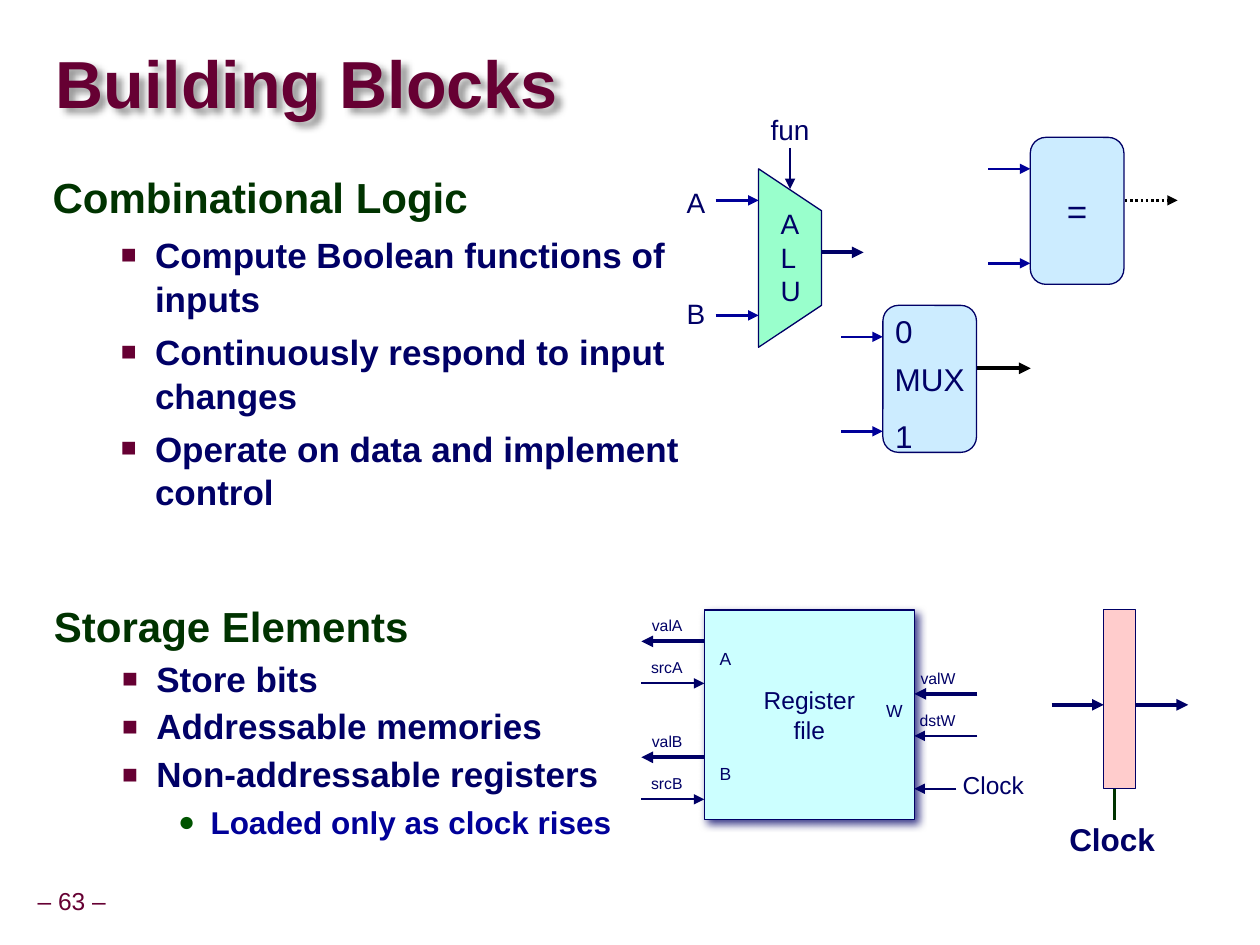
from typing import NamedTuple

from lxml.etree import SubElement
from pptx import Presentation
from pptx.dml.color import RGBColor
from pptx.enum.dml import MSO_LINE
from pptx.enum.shapes import MSO_CONNECTOR, MSO_SHAPE
from pptx.enum.text import MSO_ANCHOR, PP_ALIGN
from pptx.oxml.ns import qn
from pptx.util import Pt

NAVY, BLUE, BLACK = "000066", "000099", "000000"
MAROON, GREEN, BULLET_GREEN = "660033", "003300", "005400"
LEFT, CENTER, RIGHT = PP_ALIGN.LEFT, PP_ALIGN.CENTER, PP_ALIGN.RIGHT
TOP, MIDDLE = MSO_ANCHOR.TOP, MSO_ANCHOR.MIDDLE


class Box(NamedTuple):
    left: float
    top: float
    width: float
    height: float


class Wire(NamedTuple):
    x1: float
    y1: float
    x2: float
    y2: float
    color: str = NAVY
    width: float = 2.25
    arrow: bool = True
    dotted: bool = False


class Block(NamedTuple):
    box: Box
    fill: str
    text: str = ""
    size: float = 14
    preset: MSO_SHAPE = MSO_SHAPE.ROUNDED_RECTANGLE


class Port(NamedTuple):
    letter: str
    select: str
    y: float
    inner_x: float
    outer_x: float
    letter_x: float
    writes: bool = False


class Style(NamedTuple):
    size: float
    color: str
    margin: float
    indent: float
    level: int = 0
    bullet: str = ""
    bullet_color: str = MAROON
    bullet_percent: int = 75


class Item(NamedTuple):
    text: str
    style: Style
    spacing: float
    before: float = 0


HEADING = Style(24, GREEN, 30, -30)
POINT = Style(20, NAVY, 58.5, -19.5, 1, "■")
DETAIL = Style(18, BLUE, 89.5, -18.5, 2, "●", BULLET_GREEN, 90)

COMBINATIONAL = [Item("Combinational Logic", HEADING, 0.95)] + [
    Item(text, POINT, 1.04, 5.3) for text in (
        "Compute Boolean functions of inputs",
        "Continuously respond to input changes",
        "Operate on data and implement control")]
STORAGE = [Item("Storage Elements", HEADING, 0.95)] + [
    Item(text, POINT, 0.9, 5.75) for text in (
        "Store bits", "Addressable memories", "Non-addressable registers")
] + [Item("Loaded only as clock rises", DETAIL, 1.07, 3)]

REGISTER_FILE = Block(Box(402.5, 348.5, 120, 120), "CCFFFF", "Register\nfile",
                      preset=MSO_SHAPE.RECTANGLE)
BLOCKS = [
    Block(Box(504.5, 174.5, 53.5, 84), "CCECFF", "MUX", 18),
    Block(Box(588.75, 78.5, 53.5, 84), "CCECFF", "=", 20),
    Block(Box(630.75, 348.5, 18, 102), "FFCCCC", preset=MSO_SHAPE.RECTANGLE),
]
PORTS = [
    Port("A", "srcA", 366.5, 402.5, 366.5, 402.5),
    Port("B", "srcB", 432.75, 402.5, 366.5, 402.5),
    Port("W", "dstW", 396.5, 522.5, 558.5, 499, writes=True),
]
ALU_OUTLINE = [(433.5, 96.5), (469.5, 120.5), (469.5, 174.5), (433.5, 198.5)]

OUTPUTS_BEHIND_BLOCKS = [
    Wire(553, 210.5, 589, 210.5, BLACK),
    Wire(636.75, 114.5, 673, 114.5, BLACK, 1.5, dotted=True),
]
INPUT_ENDS = [(409, 433.5, 114.5), (409, 433.5, 180.25),
              (480.75, 504.5, 192.5), (480.75, 504.5, 246.5),
              (564.75, 588.75, 96.5), (564.75, 588.75, 150.5)]
WIRES = [Wire(x1, y, x2, y, BLUE, 1.5) for x1, x2, y in INPUT_ENDS] + [
    Wire(451.5, 84.5, 451.5, 108, width=0.75),
    Wire(469.5, 144.25, 493.5, 144.25),
    Wire(546.5, 450.75, 522.5, 450.75, width=1),
    Wire(601, 402.75, 630.75, 402.75),
    Wire(648.75, 402.75, 679, 402.75),
    Wire(637, 450.75, 637, 468.75, GREEN, 1.5, arrow=False),
]


def rgb(color: str) -> RGBColor:
    return RGBColor.from_string(color)


def format_text(shape, text: str, *, size: float, color: str = NAVY, bold=False,
                align=LEFT, anchor=TOP, wrap=True, spacing=None,
                inset_x: float = 7.2, inset_y: float = 3.6) -> None:
    frame = shape.text_frame
    frame.text = text
    frame.word_wrap = wrap
    frame.vertical_anchor = anchor
    frame.margin_left = frame.margin_right = Pt(inset_x)
    frame.margin_top = frame.margin_bottom = Pt(inset_y)
    for paragraph in frame.paragraphs:
        paragraph.alignment = align
        paragraph.line_spacing = spacing
        for run in paragraph.runs:
            font = run.font
            font.name, font.size, font.bold = "Arial", Pt(size), bold
            font.color.rgb = rgb(color)


def add_text(slide, box: Box, text: str, **style):
    label = slide.shapes.add_textbox(*map(Pt, box))
    format_text(label, text, **style)
    return label


def add_shadow(shape, color: str, alpha: int, blur: float, distance: float) -> None:
    shape.shadow.inherit = False
    effects = shape.element.spPr.find(qn("a:effectLst"))
    shadow = SubElement(effects, qn("a:outerShdw"), blurRad=str(Pt(blur)),
                        dist=str(Pt(distance)), dir="2700000", algn="tl", rotWithShape="0")
    tint = SubElement(shadow, qn("a:srgbClr"), val=color)
    SubElement(tint, qn("a:alpha"), val=str(alpha * 1000))


def paint(shape, fill: str) -> None:
    shape.fill.solid()
    shape.fill.fore_color.rgb = rgb(fill)
    shape.line.color.rgb = rgb(NAVY)
    shape.line.width = Pt(0.75)
    shape.shadow.inherit = False


def add_block(slide, block: Block):
    shape = slide.shapes.add_shape(block.preset, *map(Pt, block.box))
    paint(shape, block.fill)
    if block.text:
        format_text(shape, block.text, size=block.size, align=CENTER,
                    anchor=MIDDLE, wrap=False)
    return shape


def add_wire(slide, wire: Wire) -> None:
    ends = map(Pt, (wire.x1, wire.y1, wire.x2, wire.y2))
    connector = slide.shapes.add_connector(MSO_CONNECTOR.STRAIGHT, *ends)
    connector.line.color.rgb = rgb(wire.color)
    connector.line.width = Pt(wire.width)
    if wire.dotted:
        connector.line.dash_style = MSO_LINE.ROUND_DOT
    properties = connector.element.spPr
    if wire.arrow:
        SubElement(properties.find(qn("a:ln")), qn("a:tailEnd"), type="triangle")
    SubElement(properties, qn("a:effectLst"))


def add_port(slide, port: Port) -> None:
    """Draw a value wire and, 24 pt below it, a select wire, each with its label above."""
    inner, outer, select_y = port.inner_x, port.outer_x, port.y + 24
    start, end = (outer, inner) if port.writes else (inner, outer)
    add_wire(slide, Wire(start, port.y, end, port.y))
    add_wire(slide, Wire(outer, select_y, inner, select_y, width=1))
    for name, y in (("val" + port.letter, port.y), (port.select, select_y)):
        add_text(slide, Box(min(inner, outer), y - 15, 23.5, 12), name, size=9,
                 align=RIGHT, anchor=MIDDLE, inset_x=0, inset_y=0)
    add_text(slide, Box(port.letter_x, port.y, 24, 19.5), port.letter, size=10,
             align=CENTER, inset_x=0)


def add_outline(slide, box: Box, items: list[Item]) -> None:
    outline = add_text(slide, box, "\n".join(item.text for item in items), size=20, bold=True)
    for paragraph, item in zip(outline.text_frame.paragraphs, items):
        style = item.style
        paragraph.level = style.level
        paragraph.line_spacing = item.spacing
        paragraph.space_before = Pt(item.before)
        font = paragraph.runs[0].font
        font.size, font.color.rgb = Pt(style.size), rgb(style.color)
        properties = paragraph._p.get_or_add_pPr()
        properties.set("marL", str(Pt(style.margin)))
        properties.set("indent", str(Pt(style.indent)))
        if style.bullet:
            tint = SubElement(properties, qn("a:buClr"))
            SubElement(tint, qn("a:srgbClr"), val=style.bullet_color)
            SubElement(properties, qn("a:buSzPct"), val=str(style.bullet_percent * 1000))
            SubElement(properties, qn("a:buFont"), typeface="Arial")
            SubElement(properties, qn("a:buChar"), char=style.bullet)


def add_alu(slide) -> None:
    first, *rest = [(Pt(x), Pt(y)) for x, y in ALU_OUTLINE]
    builder = slide.shapes.build_freeform(*first)
    builder.add_line_segments(rest, close=True)
    paint(builder.convert_to_shape(), "99FFCC")
    add_text(slide, Box(439, 114.5, 30, 65), "A\nL\nU", size=16)
    add_text(slide, Box(427, 60.5, 49, 26.5), "fun", size=16, align=CENTER)
    for name, top in (("A", 102.5), ("B", 165.75)):
        add_text(slide, Box(361, top, 49, 26.5), name, size=16, align=RIGHT)


def main() -> None:
    presentation = Presentation()
    presentation.slide_width, presentation.slide_height = Pt(720), Pt(540)
    slide = presentation.slides.add_slide(presentation.slide_layouts[5])

    title = slide.shapes.title
    title.left, title.top, title.width, title.height = map(Pt, Box(31.75, 19.5, 686, 61))
    format_text(title, "Building Blocks", size=38, color=MAROON, bold=True,
                anchor=MIDDLE, spacing=0.87, inset_x=0, inset_y=0)
    add_shadow(title, BLACK, 40, 4, 4)

    add_outline(slide, Box(23, 96.5, 392, 204), COMBINATIONAL)
    add_outline(slide, Box(23.75, 341.5, 392, 142), STORAGE)
    for wire in OUTPUTS_BEHIND_BLOCKS:
        add_wire(slide, wire)
    add_shadow(add_block(slide, REGISTER_FILE), NAVY, 75, 5, 3)
    for block in BLOCKS:
        add_block(slide, block)
    add_alu(slide)
    for wire in WIRES:
        add_wire(slide, wire)
    for port in PORTS:
        add_port(slide, port)
    for digit, top in (("0", 174.5), ("1", 234.5)):
        add_text(slide, Box(504.5, top, 36, 29), digit, size=18)

    tight = dict(wrap=False, spacing=0.9, inset_x=3.6)
    add_text(slide, Box(546.5, 438.5, 42.5, 23), "Clock", size=14, **tight)
    add_text(slide, Box(607, 467.25, 57, 27.5), "Clock", size=18, bold=True,
             align=CENTER, **tight)
    add_text(slide, Box(16.5, 504, 49, 23), "– 63 –", size=14, color=MAROON,
             align=CENTER, anchor=MIDDLE, **tight)
    presentation.save("out.pptx")


if __name__ == "__main__":
    main()
